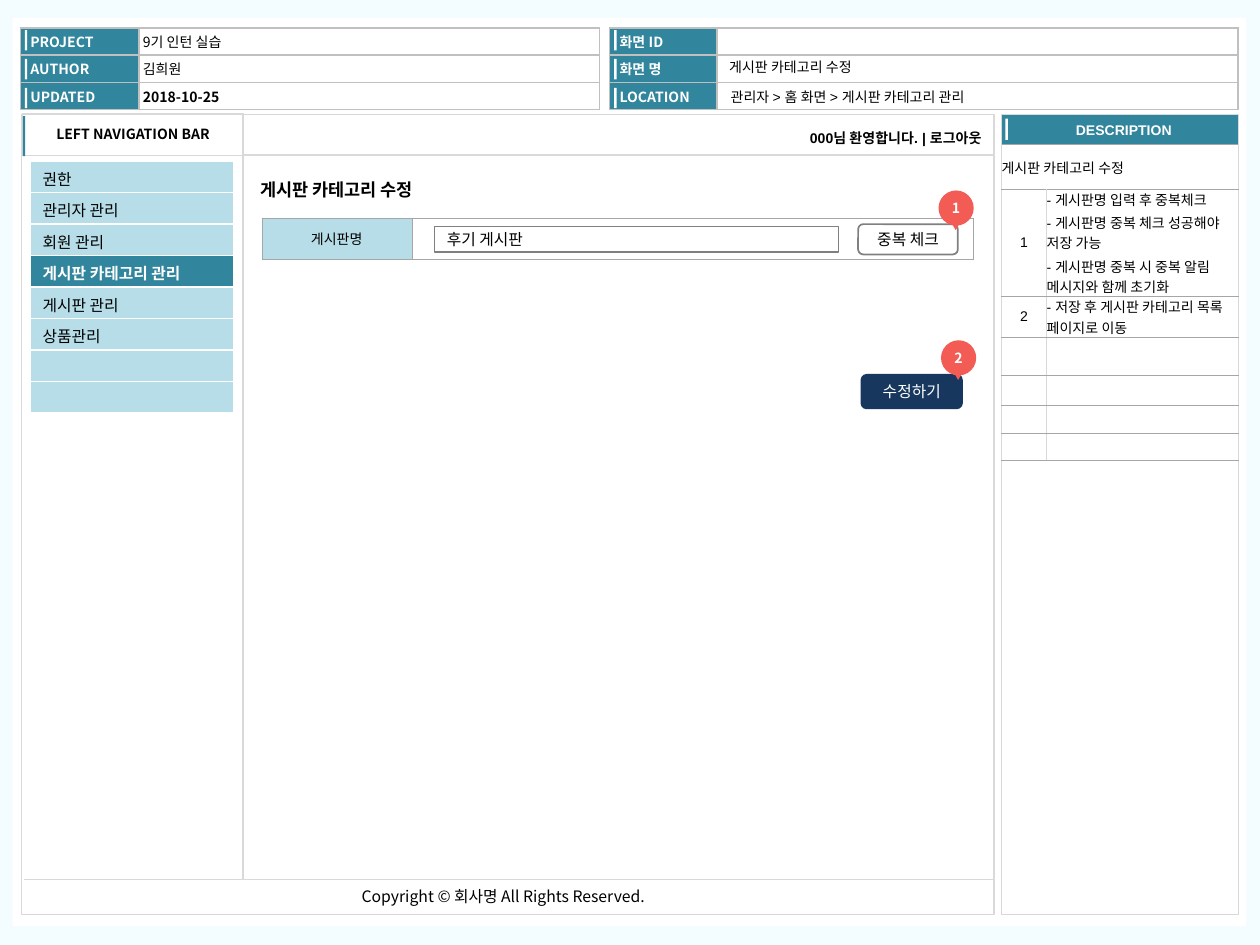
import pptx
import pptx.util
import pptx.oxml.ns
import pptx.dml.color
import pptx.enum.shapes
import pptx.enum.text
from lxml import etree

Cm = pptx.util.Cm
Pt = pptx.util.Pt
qn = pptx.oxml.ns.qn
Kind = pptx.enum.shapes.MSO_SHAPE
Align = pptx.enum.text.PP_ALIGN
Anchor = pptx.enum.text.MSO_ANCHOR

HUES = {
    "page": "F3FCFF", "white": "FFFFFF", "black": "000000", "teal": "31859C",
    "pale": "B7DEE8", "navy": "17375E", "coral": "F25C54", "light": "D9D9D9",
    "silver": "C0C0C0", "mid": "A6A6A6", "dark": "808080",
}
SANS = "Noto Sans CJK KR"
ARIAL = "Arial"


def hue(name):
    return pptx.dml.color.RGBColor.from_string(HUES[name])


def paint(item, name):
    if name:
        item.fill.solid()
        item.fill.fore_color.rgb = hue(name)
    else:
        item.fill.background()


def write(frame, text, size=8, font=SANS, ink="black", bold=False, align=Align.LEFT):
    frame.text = text
    for i, para in enumerate(frame.paragraphs):
        para.alignment = align
        if i:
            para.space_before = Pt(1.6)
        for run in para.runs:
            run.font.size = Pt(size)
            run.font.name = font
            run.font.bold = bold
            run.font.color.rgb = hue(ink)
            etree.SubElement(run._r.get_or_add_rPr(), qn("a:ea"), typeface=SANS)


def inset(item, left, top, right, bottom):
    item.margin_left, item.margin_top = Cm(left), Cm(top)
    item.margin_right, item.margin_bottom = Cm(right), Cm(bottom)


def shape(shapes, x, y, w, h, fill=None, line=None, width=0.75, kind=Kind.RECTANGLE):
    item = shapes.add_shape(kind, Cm(x), Cm(y), Cm(w), Cm(h))
    item.shadow.inherit = False
    paint(item, fill)
    if line:
        item.line.color.rgb = hue(line)
        item.line.width = Pt(width)
    else:
        item.line.fill.background()
    item.text_frame.vertical_anchor = Anchor.MIDDLE
    return item


def label(shapes, x, y, w, h, text, wrap=True, **look):
    frame = shapes.add_textbox(Cm(x), Cm(y), Cm(w), Cm(h)).text_frame
    frame.word_wrap = wrap
    if wrap:
        inset(frame, 0.2, 0.1, 0.2, 0.1)
    write(frame, text, **look)


def rule(shapes, x1, y1, x2, y2, width):
    kind = pptx.enum.shapes.MSO_CONNECTOR.STRAIGHT
    item = shapes.add_connector(kind, Cm(x1), Cm(y1), Cm(x2), Cm(y2))
    item.line.color.rgb = hue("light")
    item.line.width = Pt(width)
    etree.SubElement(item._element.spPr, qn("a:effectLst"))


def edge(cell, sides):
    props = cell._tc.get_or_add_tcPr()
    for i, (side, (name, width)) in enumerate(zip("LRTB", sides)):
        line = etree.Element(qn("a:ln" + side), w=str(Pt(width)))
        fill = etree.SubElement(line, qn("a:solidFill"))
        etree.SubElement(fill, qn("a:srgbClr"), val=HUES[name])
        props.insert(i, line)


def grid(shapes, x, y, cols, rows, sides, fill="white"):
    frame = shapes.add_table(len(rows), len(cols), Cm(x), Cm(y), Cm(sum(cols)), Cm(sum(rows)))
    table = frame.table
    table.first_row = table.horz_banding = False
    for col, width in zip(table.columns, cols):
        col.width = Cm(width)
    for row, high in zip(table.rows, rows):
        row.height = Cm(high)
    for cell in table.iter_cells():
        paint(cell, fill)
        edge(cell, sides)
        inset(cell, 0, 0, 0, 0)
        cell.vertical_anchor = Anchor.MIDDLE
        para = cell.text_frame.paragraphs[0]._p
        etree.SubElement(para, qn("a:endParaRPr"), sz="800")
    return table


def header(shapes, x, y, w, first, names, values):
    step = 0.55
    table = grid(shapes, x, y, [first, w - first], [step] * 3, [("silver", 1)] * 4)
    for i, (name, value) in enumerate(zip(names, values)):
        left, right = table.cell(i, 0), table.cell(i, 1)
        paint(left, "teal")
        left.margin_left, right.margin_left = Cm(0.2), Cm(0.08)
        write(left.text_frame, name, ink="white", bold=True)
        if value:
            write(right.text_frame, value, bold=value[-1].isdigit())
        shape(shapes, x + 0.09, y + 0.05 + i * 0.58, 0.05, 0.41, "white")


def layout(shapes, x, y, w, h):
    shape(shapes, x, y, w, h, line="light")
    split, base = x + 4.47, y + 15.42
    rule(shapes, x + 0.05, base, x + w, base, 1)
    label(shapes, x + 6.61, base + 0.02, 6.4, 0.64,
          "Copyright © 회사명 All Rights Reserved.", wrap=False, size=9)
    box = shape(shapes, x + 0.03, y - 0.02, 4.45, 0.84, line="light")
    write(box.text_frame, "LEFT NAVIGATION BAR", bold=True, align=Align.CENTER)
    shape(shapes, x + 0.03, y + 0.03, 0.05, 0.81, "teal")
    rule(shapes, split, y, split, base, 0.75)
    rule(shapes, split, y + 0.81, x + w, y + 0.81, 1)
    label(shapes, x + 13.01, y + 0.2, 6.55, 0.56, "000님 환영합니다. | 로그아웃",
          font=ARIAL, bold=True, align=Align.RIGHT)


def menu(shapes, x, y, w, h, names, active):
    count = 8
    table = grid(shapes, x, y, [w], [h / count] * count, [("white", 1)] * 4, "pale")
    for i, name in enumerate(names):
        cell = table.cell(i, 0)
        cell.vertical_anchor = Anchor.TOP
        inset(cell, 0.25, 0.12, 0.25, 0)
        here = name == active
        paint(cell, "teal" if here else "pale")
        write(cell.text_frame, name, size=9, ink="white" if here else "black", bold=here)


def notes(shapes, x, y, w, h, title, items):
    sides = [("light", 1)] * 4
    table = grid(shapes, x, y, [w], [0.64, h - 0.64], sides)
    head = table.cell(0, 0)
    paint(head, "teal")
    head.margin_left = Cm(0.15)
    write(head.text_frame, "DESCRIPTION", font=ARIAL, ink="white", bold=True, align=Align.CENTER)
    shape(shapes, x + 0.08, y + 0.08, 0.05, 0.43, "white")
    rows = [0.89, 2.16, 0.83, 0.76, 0.61, 0.56, 0.56]
    sides = [("light", 1)] * 2 + [("mid", 0.5)] * 2
    table = grid(shapes, x, y + 0.61, [0.91, w - 0.91], rows, sides)
    table.cell(0, 0).merge(table.cell(0, 1))
    write(table.cell(0, 0).text_frame, title, font=ARIAL)
    for i, text in enumerate(items, 1):
        write(table.cell(i, 0).text_frame, str(i), font=ARIAL, align=Align.CENTER)
        write(table.cell(i, 1).text_frame, text, font=ARIAL)


def button(shapes, x, y, w, h, text, fill, ink, line=None):
    item = shape(shapes, x, y, w, h, fill, line, 1, Kind.ROUNDED_RECTANGLE)
    write(item.text_frame, text, size=9, ink=ink, align=Align.CENTER)


def marker(shapes, x, y, text):
    parts = shapes.add_group_shape().shapes
    disc = shape(parts, x, y, 0.71, 0.71, "coral", kind=Kind.OVAL)
    disc.text_frame.word_wrap = False
    write(disc.text_frame, text, ink="white", bold=True, align=Align.CENTER)
    tip = shape(parts, x + 0.23, y + 0.6, 0.23, 0.2, "coral", kind=Kind.ISOSCELES_TRIANGLE)
    tip.rotation = 180


def form(shapes, x, y, w):
    label(shapes, x - 0.28, y - 0.91, 3.96, 0.69, "게시판 카테고리 수정", wrap=False, size=10, bold=True)
    button(shapes, x + 12.07, y + 3.15, 2.06, 0.71, "수정하기", "navy", "white")
    table = grid(shapes, x, y, [3.02, w - 3.02], [0.84], [("mid", 0.25)] * 4, None)
    name = table.cell(0, 0)
    paint(name, "pale")
    write(name.text_frame, "게시판명", align=Align.CENTER)
    button(shapes, x + 12.02, y + 0.13, 2.01, 0.61, "중복 체크", "white", "black", "dark")
    marker(shapes, x + 13.64, y - 0.55, "1")
    marker(shapes, x + 13.69, y + 2.47, "2")
    field = shape(shapes, x + 3.48, y + 0.18, 8.15, 0.51, line="dark")
    write(field.text_frame, "후기 게시판", size=9)


def main():
    deck = pptx.Presentation()
    deck.slide_width, deck.slide_height = Cm(25.4), Cm(19.05)
    slide = deck.slides.add_slide(deck.slide_layouts[6])
    paint(slide.background, "page")
    shapes = slide.shapes
    title, page = "게시판 카테고리 수정", "게시판 카테고리 관리"
    shape(shapes, 0.25, 0.36, 24.87, 18.31, "white")
    header(shapes, 0.41, 0.56, 11.68, 2.39, ["PROJECT", "AUTHOR", "UPDATED"],
           ["9기 인턴 실습", "김희원", "2018-10-25"])
    header(shapes, 12.29, 0.56, 12.67, 2.16, ["화면 ID", "화면 명", "LOCATION"], [""] * 3)
    label(shapes, 14.53, 1.68, 7.37, 0.51, "관리자 > 홈 화면 > " + page, font=ARIAL)
    label(shapes, 14.5, 1.09, 7.37, 0.51, title, font=ARIAL)
    layout(shapes, 0.43, 2.31, 19.61, 16.13)
    notes(shapes, 20.19, 2.31, 4.78, 16.13, title, [
        "- 게시판명 입력 후 중복체크\n- 게시판명 중복 체크 성공해야 저장 가능\n"
        "- 게시판명 중복 시 중복 알림 메시지와 함께 초기화",
        "- 저장 후 게시판 카테고리 목록 페이지로 이동"])
    form(shapes, 5.28, 4.39, 14.33)
    menu(shapes, 0.61, 3.25, 4.11, 5.08,
         ["권한", "관리자 관리", "회원 관리", page, "게시판 관리", "상품관리"], page)
    deck.save("out.pptx")


if __name__ == "__main__":
    main()
